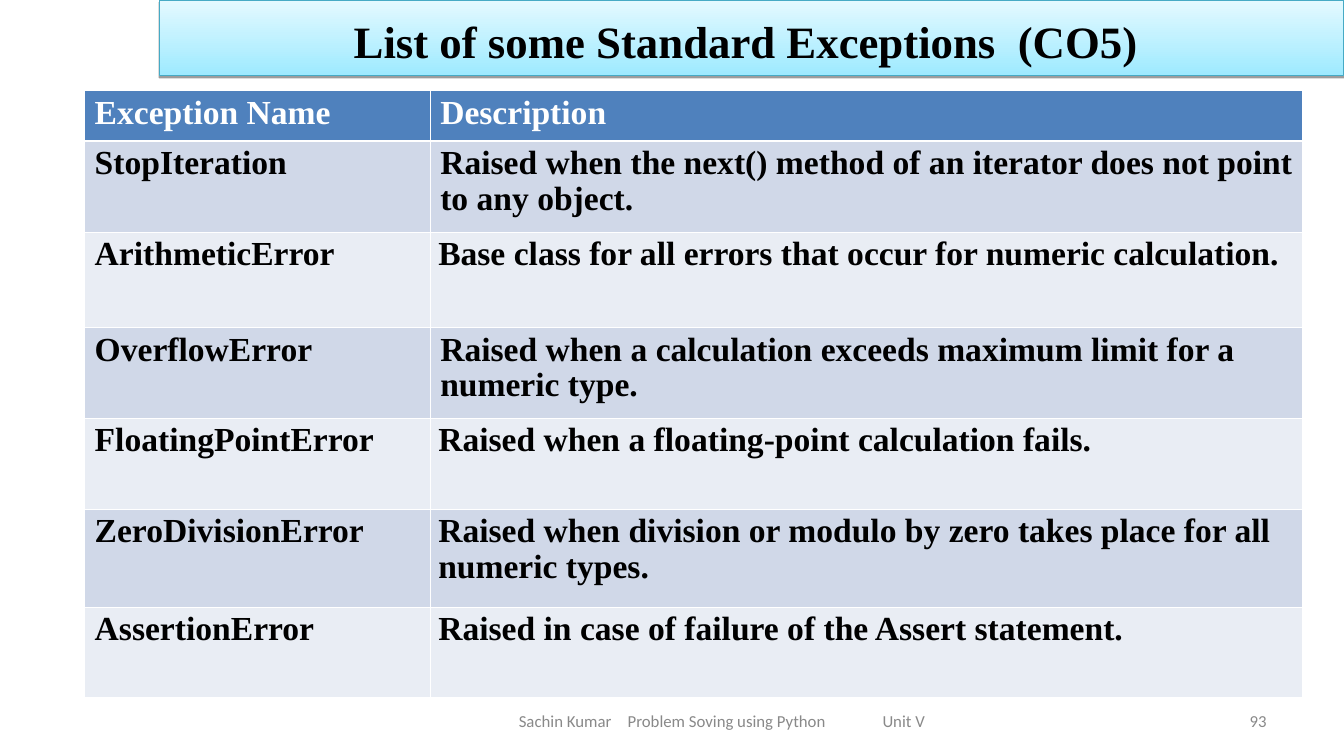
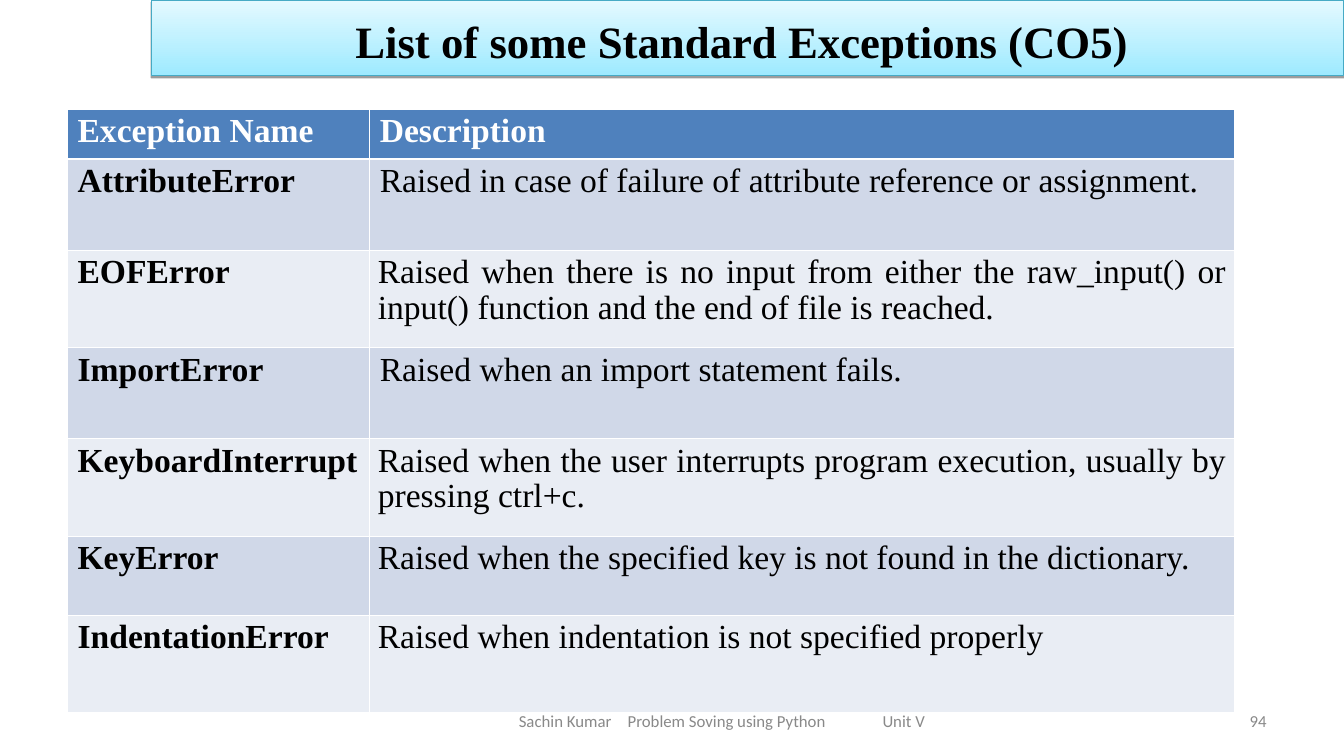
from dataclasses import dataclass

from lxml import etree
from pptx import Presentation
from pptx.dml.color import RGBColor
from pptx.enum import text as t
from pptx.oxml import ns
from pptx.util import Inches, Pt

COLORS = {
    "title": "000000", "band_bottom": "9EEAFF", "band_top": "E4F9FF",
    "band_line": "46AAC5", "header": "4F81BD", "header_text": "FFFFFF",
    "odd_row": "D0D8E8", "even_row": "E9EDF4", "cell_text": "000000",
    "rule": "FFFFFF", "footer": "898989",
}
SERIF, SANS = "Times New Roman", "Calibri"
SLIDE_WIDTH, SLIDE_HEIGHT = 13.34, 7.5
HEADINGS = ("Exception Name", "Description")
FOOTER = "Sachin Kumar\tProblem Soving using Python\tUnit V"
FOOTER_TABS = (1.08, 3.61)
THIN, THICK = 0.45, 1.47


@dataclass(frozen=True)
class ExceptionSlide:
    title: str
    number: int
    band_left: float
    table_left: float
    table_top: float
    columns: tuple[float, float]
    row_heights: tuple[float, ...]
    exceptions: tuple[tuple[str, str], ...]
    bold_descriptions: bool
    align: t.PP_ALIGN


SLIDES = (
    ExceptionSlide(
        "List of some Standard Exceptions  (CO5)", 93, 1.58, 0.84, 0.9,
        (3.43, 8.66), (0.5, 0.9, 0.95, 0.9, 0.9, 0.97, 0.9),
        (
            ("StopIteration", "Raised when the next() method of an iterator does not point to any object."),
            ("ArithmeticError", "Base class for all errors that occur for numeric calculation."),
            ("OverflowError", "Raised when a calculation exceeds maximum limit for a numeric type."),
            ("FloatingPointError", "Raised when a floating-point calculation fails."),
            ("ZeroDivisionError", "Raised when division or modulo by zero takes place for all numeric types."),
            ("AssertionError", "Raised in case of failure of the Assert statement."),
        ),
        True, t.PP_ALIGN.LEFT,
    ),
    ExceptionSlide(
        "List of some Standard Exceptions (CO5)", 94, 1.5, 0.67, 1.08,
        (3, 8.58), (0.5, 0.9, 0.97, 0.9, 0.97, 0.78, 0.97),
        (
            ("AttributeError", "Raised in case of failure of attribute reference or assignment."),
            ("EOFError", "Raised when there is no input from either the raw_input() or input() function and the end of file is reached."),
            ("ImportError", "Raised when an import statement fails."),
            ("KeyboardInterrupt", "Raised when the user interrupts program execution, usually by pressing ctrl+c."),
            ("KeyError", "Raised when the specified key is not found in the dictionary."),
            ("IndentationError", "Raised when indentation is not specified properly"),
        ),
        False, t.PP_ALIGN.JUSTIFY,
    ),
)


def rgb(name: str) -> RGBColor:
    return RGBColor.from_string(COLORS[name])


def add_child(parent, tag: str, **attributes):
    child = etree.SubElement(parent, ns.qn(tag))
    for key, value in attributes.items():
        child.set(key, str(value))
    return child


def style(paragraph, size: float, face: str, color: str, bold: bool, align) -> None:
    paragraph.alignment = align
    font = paragraph.font
    font.size, font.name, font.bold = Pt(size), face, bold
    font.color.rgb = rgb(color)


def add_title(slide, content: ExceptionSlide) -> None:
    band = slide.shapes.title
    band.left, band.top = Inches(content.band_left), 0
    band.width = Inches(SLIDE_WIDTH - content.band_left)
    band.height = Inches(0.75)
    band.fill.gradient()
    band.fill.gradient_angle = 90
    for stop, color in zip(band.fill.gradient_stops, ("band_bottom", "band_top")):
        stop.color.rgb = rgb(color)
    band.line.color.rgb = rgb("band_line")
    band.line.width = Pt(0.75)

    effects = add_child(band.element.spPr, "a:effectLst")
    shadow = add_child(effects, "a:outerShdw", blurRad=0, dist=Pt(1.6),
                       dir=5400000, rotWithShape=0)
    add_child(add_child(shadow, "a:srgbClr", val="000000"), "a:alpha", val=38000)

    frame = band.text_frame
    frame.text = content.title
    frame.auto_size = t.MSO_AUTO_SIZE.NONE
    frame.vertical_anchor = t.MSO_ANCHOR.MIDDLE
    frame.margin_right = Inches(0.21)
    frame.paragraphs[0].line_spacing = 1.1
    style(frame.paragraphs[0], 32, SERIF, "title", True, t.PP_ALIGN.CENTER)


def set_borders(cell, row: int) -> None:
    """Rule the cell in white, heavier between the header and the first row."""
    widths = {"L": THIN, "R": THIN,
              "T": THICK if row == 1 else THIN,
              "B": THICK if row == 0 else THIN}
    properties = cell._tc.get_or_add_tcPr()
    for side, width in widths.items():
        line = add_child(properties, f"a:ln{side}", w=Pt(width))
        add_child(add_child(line, "a:solidFill"), "a:srgbClr", val=COLORS["rule"])


def add_exception_table(slide, content: ExceptionSlide) -> None:
    rows = (HEADINGS, *content.exceptions)
    table = slide.shapes.add_table(
        len(rows), len(HEADINGS), Inches(content.table_left), Inches(content.table_top),
        Inches(sum(content.columns)), Inches(sum(content.row_heights))).table
    for column, width in zip(table.columns, content.columns):
        column.width = Inches(width)
    for r, (values, height) in enumerate(zip(rows, content.row_heights)):
        table.rows[r].height = Inches(height)
        header = r == 0
        fill = "header" if header else "odd_row" if r % 2 else "even_row"
        for c, value in enumerate(values):
            cell = table.cell(r, c)
            set_borders(cell, r)
            cell.fill.solid()
            cell.fill.fore_color.rgb = rgb(fill)
            wide_inset = c == 0 or r in (0, 1, 3)
            cell.margin_left = cell.margin_right = Inches(0.1 if wide_inset else 0.08)
            cell.text = value
            paragraph = cell.text_frame.paragraphs[0]
            paragraph.line_spacing = 0.96
            style(paragraph, 24, SERIF, "header_text" if header else "cell_text",
                  header or c == 0 or content.bold_descriptions, content.align)


def add_footer_text(slide, value: str, left: float, width: float, align,
                    inset: float = 0.1, tabs: tuple[float, ...] = ()) -> None:
    frame = slide.shapes.add_textbox(
        Inches(left), Inches(6.95), Inches(width), Inches(0.4)).text_frame
    frame.word_wrap = True
    frame.vertical_anchor = t.MSO_ANCHOR.MIDDLE
    frame.margin_left = Inches(inset)
    frame.text = value
    paragraph = frame.paragraphs[0]
    if tabs:
        stops = add_child(paragraph._p.get_or_add_pPr(), "a:tabLst")
        for position in tabs:
            add_child(stops, "a:tab", pos=Inches(position), algn="l")
    style(paragraph, 12, SANS, "footer", False, align)


def main() -> None:
    deck = Presentation()
    deck.slide_width, deck.slide_height = Inches(SLIDE_WIDTH), Inches(SLIDE_HEIGHT)
    title_only = deck.slide_layouts[5]
    for content in SLIDES:
        slide = deck.slides.add_slide(title_only)
        add_title(slide, content)
        add_exception_table(slide, content)
        add_footer_text(slide, FOOTER, 4.42, 5.5, t.PP_ALIGN.LEFT, 0.73, FOOTER_TABS)
        add_footer_text(slide, str(content.number), 9.56, 3.11, t.PP_ALIGN.RIGHT)
    deck.save("out.pptx")


if __name__ == "__main__":
    main()
